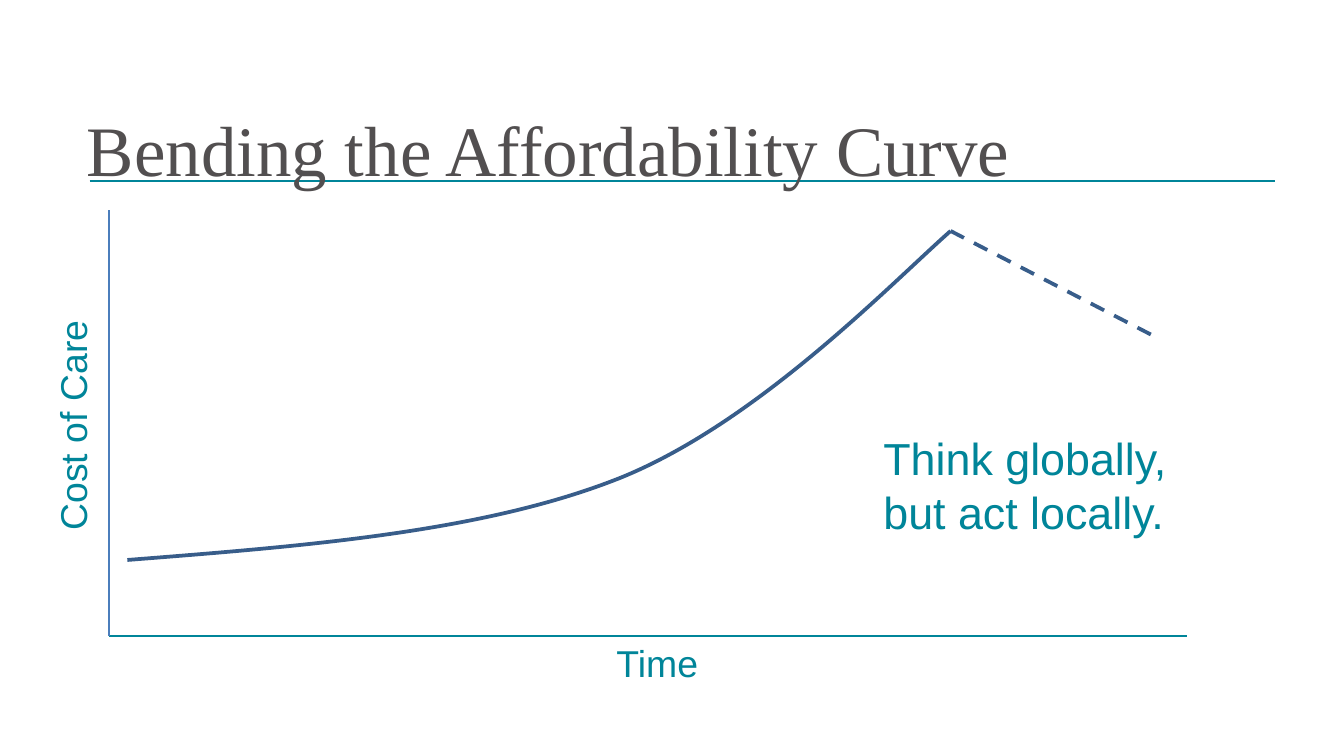
from lxml.etree import SubElement
from pptx import Presentation
from pptx.dml.color import RGBColor as Rgb
from pptx.enum.dml import MSO_LINE_DASH_STYLE as Dash
from pptx.enum.shapes import MSO_CONNECTOR as Connector
from pptx.enum.text import MSO_ANCHOR as Anchor, PP_ALIGN as Align
from pptx.oxml.ns import qn
from pptx.util import Pt

PX = 9525  # EMU per px, 96 px to the inch

THEME = {
    "teal": Rgb(0x00, 0x85, 0x99),
    "axis": Rgb(0x4B, 0x7E, 0xBC),
    "curve": Rgb(0x38, 0x5D, 0x8A),
    "title": {"name": "Times New Roman", "size": Pt(38)},
    "label": {"name": "Arial", "size": Pt(20)},
    "slogan": {"name": "Arial", "size": Pt(24)},
    "title_color": Rgb(0x52, 0x4F, 0x50),
}

deck = Presentation()
deck.slide_width, deck.slide_height = 960 * PX, 540 * PX
page = deck.slides.add_slide(deck.slide_layouts[6])


def add_line(start, end, color, width, dash=None):
    line = page.shapes.add_connector(
        Connector.STRAIGHT, *(value * PX for value in (*start, *end)))
    line.line.color.rgb = color
    line.line.width = Pt(width)
    line.line.dash_style = dash
    SubElement(line._element.spPr, qn("a:effectLst"))


def add_text(text, area, style, color, insets=(10, 5), anchor=Anchor.TOP,
             align=Align.LEFT, rotation=0):
    box = page.shapes.add_textbox(*(value * PX for value in area))
    box.rotation = rotation
    side, edge = (value * PX for value in insets)
    frame_format = {
        "word_wrap": True, "vertical_anchor": anchor,
        "margin_left": side, "margin_right": side,
        "margin_top": edge, "margin_bottom": edge,
    }
    for name, value in frame_format.items():
        setattr(box.text_frame, name, value)
    para = box.text_frame.paragraphs[0]
    para.alignment = align
    span = para.add_run()
    span.text = text
    for name, value in THEME[style].items():
        setattr(span.font, name, value)
    span.font.color.rgb = color


# Title rule and chart axes
origin = (78, 454)
add_line((64, 129), (911, 129), THEME["teal"], 1)
add_line(origin, (848, 454), THEME["teal"], 1)
add_line(origin, (78, 150), THEME["axis"], 0.75)

# Cost curve: a start point, then two Bézier segments of three points each
peak = (679, 165)
curve_points = [(91, 400), (219, 390), (347, 380), (444, 341),
                (542, 301), (636, 203), peak]
builder = page.shapes.build_freeform(*curve_points[0], scale=PX)
builder.add_line_segments(curve_points[1:], close=False)
curve = builder.convert_to_shape()
curve.shadow.inherit = False
curve.fill.background()
curve.line.color.rgb = THEME["curve"]
curve.line.width = Pt(2)

# Turn each three straight steps into one cubic segment
outline = next(curve._element.iter(qn("a:path")))
steps = outline.findall(qn("a:lnTo"))
for first in range(0, len(steps), 3):
    cubic = SubElement(outline, qn("a:cubicBezTo"))
    for step in steps[first:first + 3]:
        cubic.append(step[0])
        outline.remove(step)

# Bent-down continuation
add_line(peak, (826, 241), THEME["curve"], 2, Dash.DASH)

# Axis labels
for text, left, top, rotation in (("Cost of Care", -65, 285, 270),
                                  ("Time", 353, 454, 0)):
    add_text(text, (left, top, 233, 38), "label", THEME["teal"],
             insets=(6, 3), align=Align.CENTER, rotation=rotation)

# Title and slogan
add_text("Bending the Affordability Curve", (52, -4, 845, 145), "title",
         THEME["title_color"], anchor=Anchor.BOTTOM)
add_text("Think globally, but act locally.", (621, 303, 261, 87), "slogan",
         THEME["teal"])

deck.save("out.pptx")
